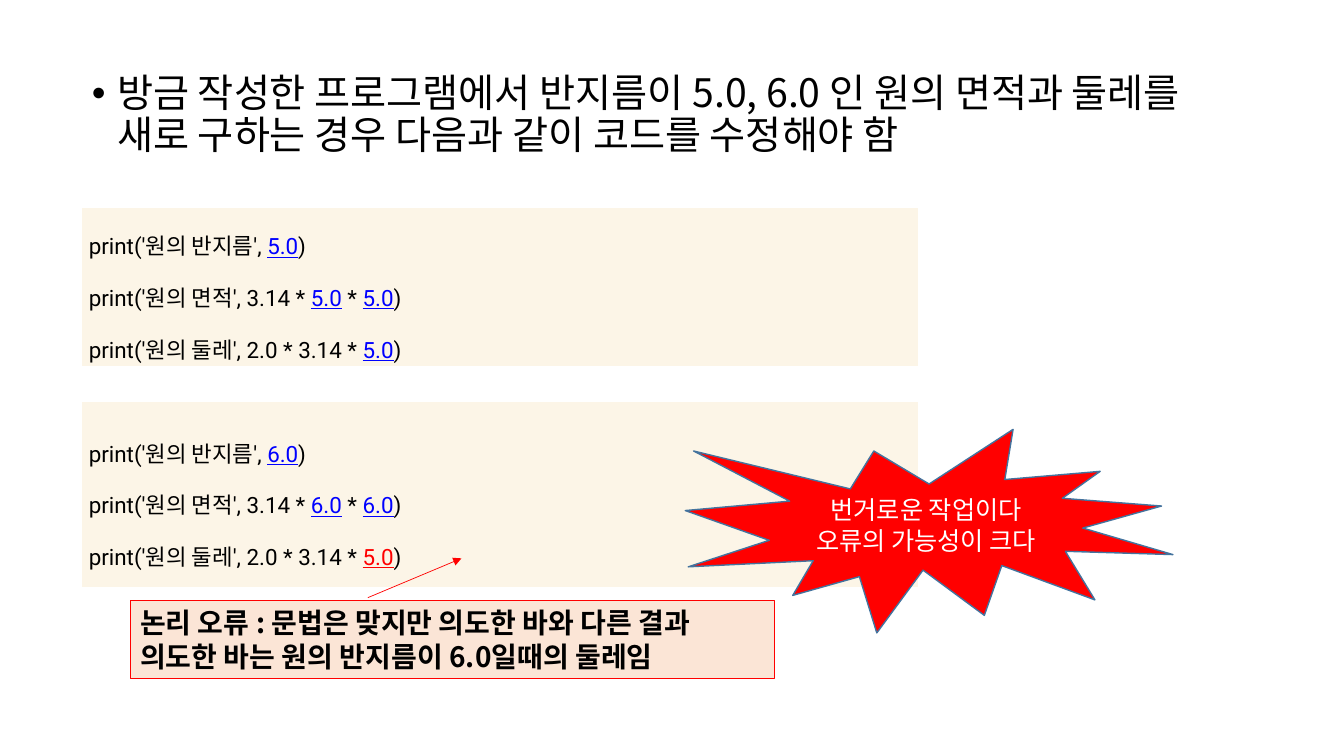
"""Build the slide on a logic error when a radius changes in code."""
from lxml.etree import SubElement
from pptx import Presentation
from pptx.dml.color import RGBColor
from pptx.enum.shapes import MSO_CONNECTOR, MSO_SHAPE
from pptx.enum.text import MSO_ANCHOR, MSO_AUTO_SIZE, PP_ALIGN
from pptx.oxml.ns import qn
from pptx.util import Cm, Pt

BLACK = RGBColor(0x00, 0x00, 0x00)
WHITE = RGBColor(0xFF, 0xFF, 0xFF)
RED = RGBColor(0xFF, 0x00, 0x00)
BLUE = RGBColor(0x00, 0x00, 0xFF)
STEEL = RGBColor(0x43, 0x73, 0x9E)
CREAM = RGBColor(0xFC, 0xF5, 0xE7)
PEACH = RGBColor(0xFB, 0xE5, 0xD6)
SANS = "Noto Sans CJK KR"
CODE = "Roboto"


def style(run, size, color, face=SANS, bold=False):
    font = run.font
    font.size, font.name, font.bold = Pt(size), face, bold
    font.color.rgb = color
    SubElement(run._r.get_or_add_rPr(), qn("a:ea")).set("typeface", SANS)


def label(kind, box, fill, edge, width, text, size, color, bold, align, anchor):
    shape = slide.shapes.add_shape(kind, *map(Cm, box))
    shape.shadow.inherit = False
    shape.fill.solid()
    shape.fill.fore_color.rgb = fill
    shape.line.color.rgb = edge
    shape.line.width = Pt(width)
    frame = shape.text_frame
    frame.text = text
    frame.word_wrap = True
    frame.vertical_anchor = anchor
    for para in frame.paragraphs:
        para.alignment = align
        style(para.runs[0], size, color, bold=bold)


deck = Presentation()
deck.slide_width, deck.slide_height = Cm(33.87), Cm(19.05)
slide = deck.slides.add_slide(deck.slide_layouts[1])
title = slide.shapes.title.element
title.getparent().remove(title)

body = slide.placeholders[1]
body.left, body.top, body.width, body.height = map(Cm, (2.06, 1.73, 29.21, 12.09))
frame = body.text_frame
frame.text = "방금 작성한 프로그램에서 반지름이 5.0, 6.0 인 원의 면적과 둘레를 새로 구하는 경우 다음과 같이 코드를 수정해야 함"
frame.auto_size = MSO_AUTO_SIZE.NONE
para = frame.paragraphs[0]
para.line_spacing = 0.9
para.space_before = Pt(10)
props = para._p.get_or_add_pPr()
props.set("marL", str(Cm(0.64)))
props.set("indent", str(-Cm(0.64)))
SubElement(props, qn("a:buFont")).set("typeface", "Arial")
SubElement(props, qn("a:buChar")).set("char", "•")
style(para.runs[0], 28, BLACK)

LINES = (
    "print('원의 반지름', |{0}|)",
    "print('원의 면적', 3.14 * |{0}| * |{0}|)",
    "print('원의 둘레', 2.0 * 3.14 * |{1}|)",
)
PANELS = (
    (5.23, 4.01, "5.0", BLUE),
    (10.11, 4.7, "6.0", RED),
)
for top, height, value, mark in PANELS:
    grid = slide.shapes.add_table(1, 1, Cm(2.06), Cm(top), Cm(21.08), Cm(height)).table
    grid.first_row = grid.horz_banding = False
    cell = grid.cell(0, 0)
    cell.fill.solid()
    cell.fill.fore_color.rgb = CREAM
    cell.vertical_anchor = MSO_ANCHOR.MIDDLE
    cell.margin_left = cell.margin_right = Cm(0.18)
    cell.margin_top = cell.margin_bottom = Cm(0.05)
    frame = cell.text_frame
    for row, line in enumerate(LINES):
        para = frame.add_paragraph() if row else frame.paragraphs[0]
        para.alignment = PP_ALIGN.JUSTIFY
        para.line_spacing = 1.6
        tint = mark if row == 2 else BLUE
        for spot, part in enumerate(line.format(value, "5.0").split("|")):
            run = para.add_run()
            run.text = part
            style(run, 16, tint if spot % 2 else BLACK, CODE)
            run.font.underline = spot % 2 == 1

label(MSO_SHAPE.EXPLOSION1, (17.27, 10.82, 12.29, 5.13), RED, STEEL, 1,
      "번거로운 작업이다\n오류의 가능성이 크다",
      18, WHITE, False, PP_ALIGN.CENTER, MSO_ANCHOR.MIDDLE)
label(MSO_SHAPE.RECTANGLE, (3.28, 15.14, 16.23, 1.96), PEACH, RED, 0.75,
      "논리 오류 : 문법은 맞지만 의도한 바와 다른 결과\n의도한 바는 원의 반지름이 6.0일때의 둘레임",
      20, BLACK, True, PP_ALIGN.LEFT, MSO_ANCHOR.TOP)

arrow = slide.shapes.add_connector(
    MSO_CONNECTOR.STRAIGHT, Cm(9.27), Cm(15.06), Cm(11.63), Cm(14.07))
arrow.line.color.rgb = RED
arrow.line.width = Pt(0.5)
SubElement(arrow.line._get_or_add_ln(), qn("a:tailEnd")).set("type", "triangle")
SubElement(arrow._element.spPr, qn("a:effectLst"))

deck.save("out.pptx")
